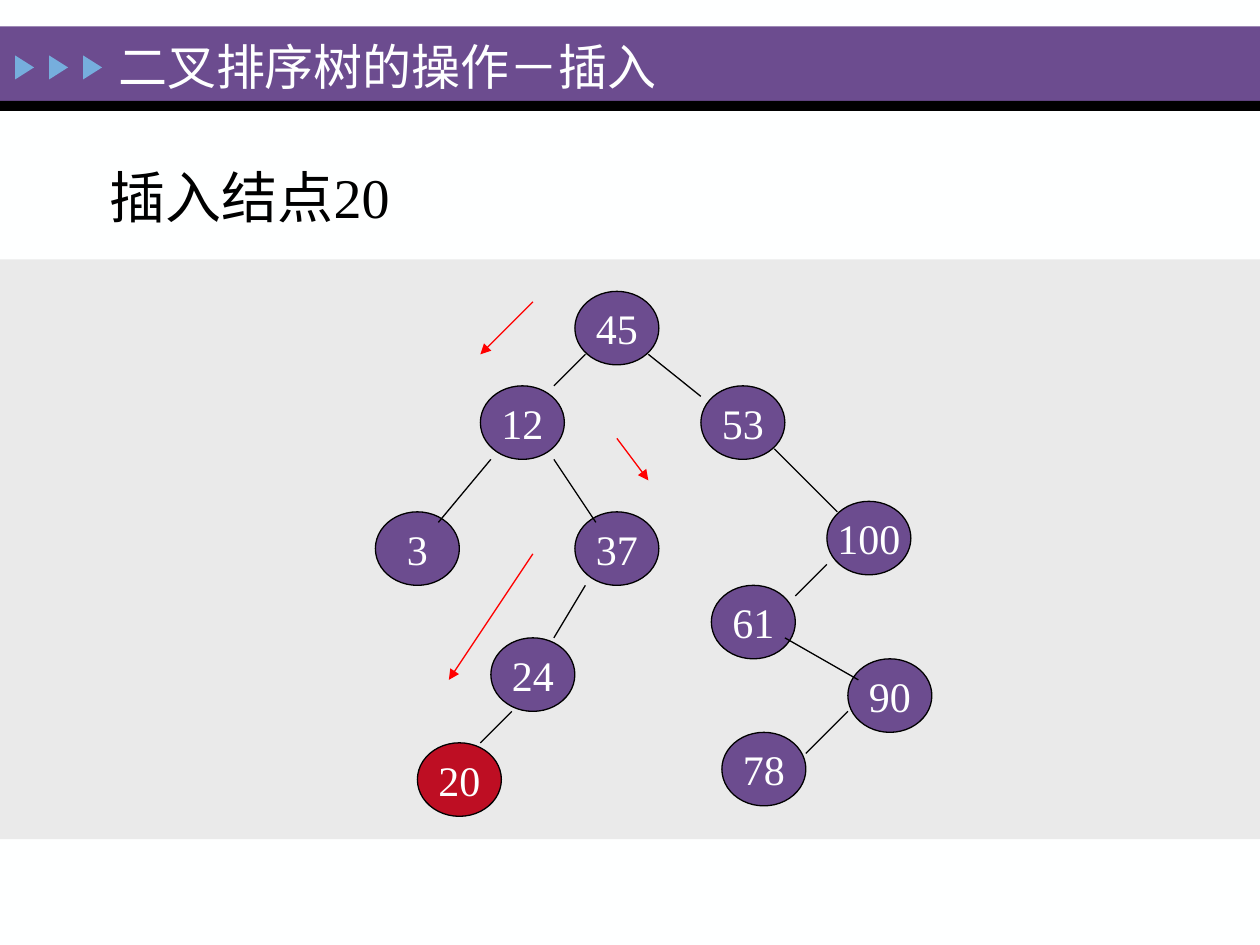
from dataclasses import dataclass

from lxml import etree
from pptx import Presentation
from pptx import util as u
from pptx.dml.color import RGBColor
from pptx.enum import shapes, text
from pptx.oxml import ns


@dataclass(frozen=True)
class Theme:
    paper: str = "FEFFFF"
    ink: str = "000000"
    purple: str = "6C4C8F"
    sky: str = "76AEDD"
    panel: str = "EAEAEA"
    inserted: str = "BE0E23"
    route: str = "FF0000"
    font: str = "Times New Roman"
    title_size: int = 28
    heading_size: int = 32
    key_size: int = 24
    stroke: float = 0.75


class TreeSlide:
    CELLS = 12          # tree grid cells per inch
    SHIFT = 0.25        # the grid starts a quarter cell up and left
    NODE = (8, 7)       # node width and height in cells

    def __init__(self, deck, theme):
        self.theme = theme
        self.slide = deck.slides.add_slide(deck.slide_layouts[6])
        fill = self.slide.background.fill
        fill.solid()
        fill.fore_color.rgb = RGBColor.from_string(theme.paper)

    def grid(self, cell):
        return u.Inches((cell - self.SHIFT) / self.CELLS)

    def shape(self, kind, box, colour, outlined=False):
        shape = self.slide.shapes.add_shape(kind, *box)
        shape.shadow.inherit = False
        shape.fill.solid()
        shape.fill.fore_color.rgb = RGBColor.from_string(colour)
        if outlined:
            self.stroke(shape.line, self.theme.ink)
        else:
            shape.line.fill.background()
        return shape

    def stroke(self, line, colour):
        line.color.rgb = RGBColor.from_string(colour)
        line.width = u.Pt(self.theme.stroke)

    def set_words(self, shape, words, size, colour, align, anchor, wrap=True):
        frame = shape.text_frame
        frame.word_wrap = wrap
        frame.vertical_anchor = anchor
        paragraph = frame.paragraphs[0]
        paragraph.text = words
        paragraph.alignment = align
        paragraph.font.name = self.theme.font
        paragraph.font.size = u.Pt(size)
        paragraph.font.color.rgb = RGBColor.from_string(colour)

    def band(self, top, height, colour):
        box = [u.Inches(n) for n in (0, top, 10, height)]
        self.shape(shapes.MSO_SHAPE.RECTANGLE, box, colour)

    def pointer(self, left, top):
        box = [u.Inches(n) for n in (left, top, 0.19, 0.15)]
        triangle = self.shape(shapes.MSO_SHAPE.ISOSCELES_TRIANGLE, box, self.theme.sky)
        triangle.rotation = 90

    def label(self, words, box, size, colour, anchor):
        label = self.slide.shapes.add_textbox(*[u.Inches(n) for n in box])
        self.set_words(label, words, size, colour, text.PP_ALIGN.LEFT, anchor)

    def node(self, key, column, row, colour):
        size = [u.Inches(n / self.CELLS) for n in self.NODE]
        box = (self.grid(column), self.grid(row), *size)
        node = self.shape(shapes.MSO_SHAPE.OVAL, box, colour, outlined=True)
        self.set_words(node, str(key), self.theme.key_size, self.theme.paper,
                       text.PP_ALIGN.CENTER, text.MSO_ANCHOR.MIDDLE, wrap=False)

    def edge(self, ends, colour, arrow=False):
        edge = self.slide.shapes.add_connector(
            shapes.MSO_CONNECTOR.STRAIGHT, *map(self.grid, ends))
        self.stroke(edge.line, colour)
        properties = edge._element.spPr
        if arrow:
            outline = properties.find(ns.qn("a:ln"))
            etree.SubElement(outline, ns.qn("a:tailEnd"), type="triangle")
        etree.SubElement(properties, ns.qn("a:effectLst"))


# Keys with the column and row of each node's top left corner
NODES = {
    45: (55, 28), 12: (46, 37), 53: (67, 37), 3: (36, 49), 37: (55, 49), 24: (47, 61),
    100: (79, 48), 61: (68, 56), 90: (81, 63), 78: (69, 70), 20: (40, 71),
}
NEW_KEY = 20
# Lines as start column, start row, end column, end row
EDGES = [
    (56, 34, 53, 37), (47, 44, 42, 50), (53, 44, 57, 50), (56, 56, 53, 61),
    (62, 34, 67, 38), (74, 43, 80, 49), (79, 54, 76, 57), (75, 61, 82, 65),
    (81, 68, 77, 72), (49, 68, 46, 71),
]
SEARCH_ROUTE = [(51, 29, 46, 34), (59, 42, 62, 46), (51, 53, 43, 65)]


def main():
    deck = Presentation()
    deck.slide_width, deck.slide_height = u.Inches(10), u.Inches(7.5)
    theme = Theme()
    page = TreeSlide(deck, theme)

    # Title bar
    page.band(0.21, 0.59, theme.purple)
    page.band(0.8, 0.08, theme.ink)
    for i in range(3):
        page.pointer(0.1 + 0.27 * i, 0.46)

    # Tree panel
    page.band(2.06, 4.6, theme.panel)
    for key, (column, row) in NODES.items():
        page.node(key, column, row, theme.inserted if key == NEW_KEY else theme.purple)
    for ends in EDGES:
        page.edge(ends, theme.ink)
    for ends in SEARCH_ROUTE:
        page.edge(ends, theme.route, arrow=True)

    # Heading and title
    page.label("插入结点20", (0.77, 1.24, 2.84, 0.63), theme.heading_size,
               theme.ink, text.MSO_ANCHOR.TOP)
    page.label("二叉排序树的操作－插入", (0.84, 0.24, 5.9, 0.56), theme.title_size,
               theme.paper, text.MSO_ANCHOR.MIDDLE)

    deck.save("out.pptx")


if __name__ == "__main__":
    main()
